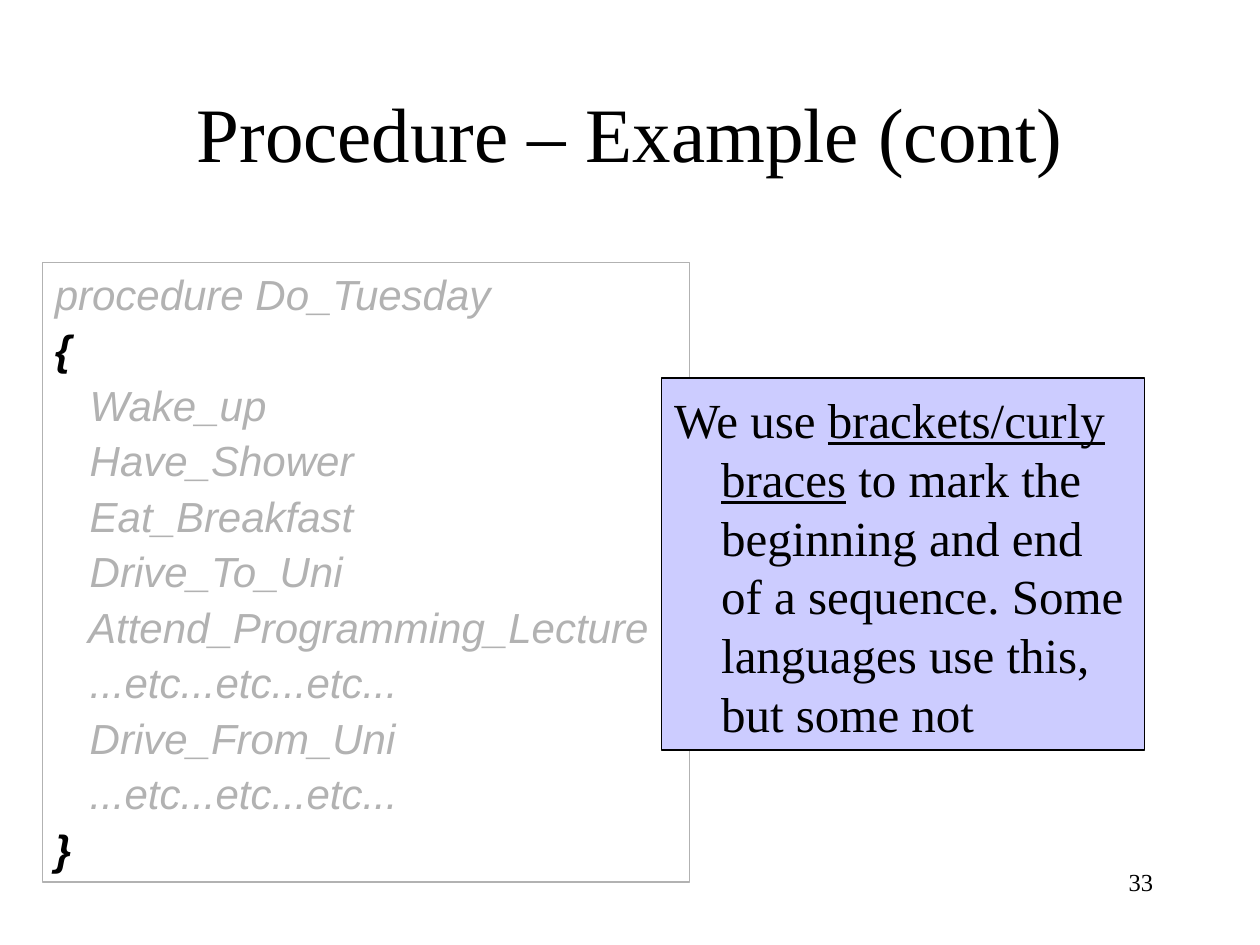
from dataclasses import dataclass

from lxml import etree
from pptx import Presentation
from pptx.dml.color import RGBColor
from pptx.enum.shapes import MSO_SHAPE
from pptx.enum.text import MSO_ANCHOR, MSO_AUTO_SIZE, PP_ALIGN
from pptx.oxml.ns import qn
from pptx.util import Cm, Pt

LEFT, CENTER, RIGHT = PP_ALIGN.LEFT, PP_ALIGN.CENTER, PP_ALIGN.RIGHT
TOP, MIDDLE = MSO_ANCHOR.TOP, MSO_ANCHOR.MIDDLE
NO_FIT = MSO_AUTO_SIZE.NONE
RECT = MSO_SHAPE.RECTANGLE


@dataclass(frozen=True)
class Theme:
    """Colours, fonts and sizes of the deck."""
    ink: str = "000000"
    muted: str = "B2B2B2"
    note: str = "CCCCFF"
    serif: str = "Times New Roman"
    sans: str = "Arial"
    title: int = 44
    code: int = 24
    callout: int = 28
    number: int = 14
    line: float = 0.75


class Deck:
    """Draws styled elements on the current slide."""

    def __init__(self, theme):
        self.theme = theme
        self.prs = Presentation()
        self.prs.slide_width, self.prs.slide_height = Cm(25.4), Cm(19.05)
        self.slide = None

    def new_slide(self):
        self.slide = self.prs.slides.add_slide(self.prs.slide_layouts[1])

    def place(self, sp, box):
        sp.left, sp.top, sp.width, sp.height = map(Cm, box)

    def outline(self, sp, color):
        sp.line.color.rgb = RGBColor.from_string(color)
        sp.line.width = Pt(self.theme.line)

    def frame(self, sp, anchor=TOP, margin_top=0.13):
        tf = sp.text_frame
        fmt = dict(word_wrap=True, auto_size=NO_FIT, vertical_anchor=anchor,
                   margin_top=Cm(margin_top))
        for name, value in fmt.items():
            setattr(tf, name, value)
        return tf

    def run(self, p, text, color, **fmt):
        r = p.add_run()
        r.text = text
        r.font.color.rgb = RGBColor.from_string(color)
        for name, value in fmt.items():
            setattr(r.font, name, value)

    def hanging(self, p, **fmt):
        pPr = p._p.get_or_add_pPr()
        pPr.set("marL", str(Cm(0.95)))
        pPr.set("indent", str(Cm(-0.95)))
        etree.SubElement(pPr, qn("a:buNone"))
        for name, value in fmt.items():
            setattr(p, name, value)

    def title(self, text, box):
        sp = self.slide.shapes.title
        self.place(sp, box)
        p = self.frame(sp, MIDDLE).paragraphs[0]
        p.alignment = CENTER
        self.run(p, text, self.theme.ink, name=self.theme.serif,
                 size=Pt(self.theme.title))

    def code(self, lines, box):
        t = self.theme
        sp = self.slide.placeholders[1]
        self.place(sp, box)
        self.outline(sp, t.muted)
        tf = self.frame(sp, margin_top=0.23)
        for i, line in enumerate(lines):
            p = tf.add_paragraph() if i else tf.paragraphs[0]
            self.hanging(p, alignment=LEFT, line_spacing=0.9,
                         space_before=Pt(5.8 if i else 0))
            brace = line in "{}"
            self.run(p, line, t.ink if brace else t.muted, name=t.sans,
                     size=Pt(t.code), italic=True, bold=brace)

    def callout(self, parts, box):
        t = self.theme
        sp = self.slide.shapes.add_shape(RECT, *map(Cm, box))
        sp.shadow.inherit = False
        sp.fill.solid()
        sp.fill.fore_color.rgb = RGBColor.from_string(t.note)
        self.outline(sp, t.ink)
        p = self.frame(sp, margin_top=0.23).paragraphs[0]
        self.hanging(p, alignment=LEFT)
        for text, underline in parts:
            self.run(p, text, t.ink, name=t.serif, size=Pt(t.callout),
                     underline=underline)

    def number(self, text, box):
        sp = self.slide.shapes.add_textbox(*map(Cm, box))
        p = self.frame(sp).paragraphs[0]
        p.alignment = RIGHT
        self.run(p, text, self.theme.ink, name=self.theme.serif,
                 size=Pt(self.theme.number))


def main():
    deck = Deck(Theme())
    deck.new_slide()
    deck.number("33", (18.2, 17.35, 5.3, 1.27))
    deck.title("Procedure – Example (cont)", (1.9, 1.48, 21.6, 2.33))
    deck.code([
        "procedure Do_Tuesday",
        "{",
        "   Wake_up",
        "   Have_Shower",
        "   Eat_Breakfast",
        "   Drive_To_Uni",
        "   Attend_Programming_Lecture",
        "   ...etc...etc...etc...",
        "   Drive_From_Uni",
        "   ...etc...etc...etc...",
        "}",
    ], (0.85, 5.29, 13.05, 12.49))
    deck.callout([
        ("We use ", False),
        ("brackets/curly braces", True),
        (" to mark the beginning and end of a sequence. "
         "Some languages use this, but some not", False),
    ], (13.34, 7.62, 9.74, 7.5))
    deck.prs.save("out.pptx")


if __name__ == "__main__":
    main()
